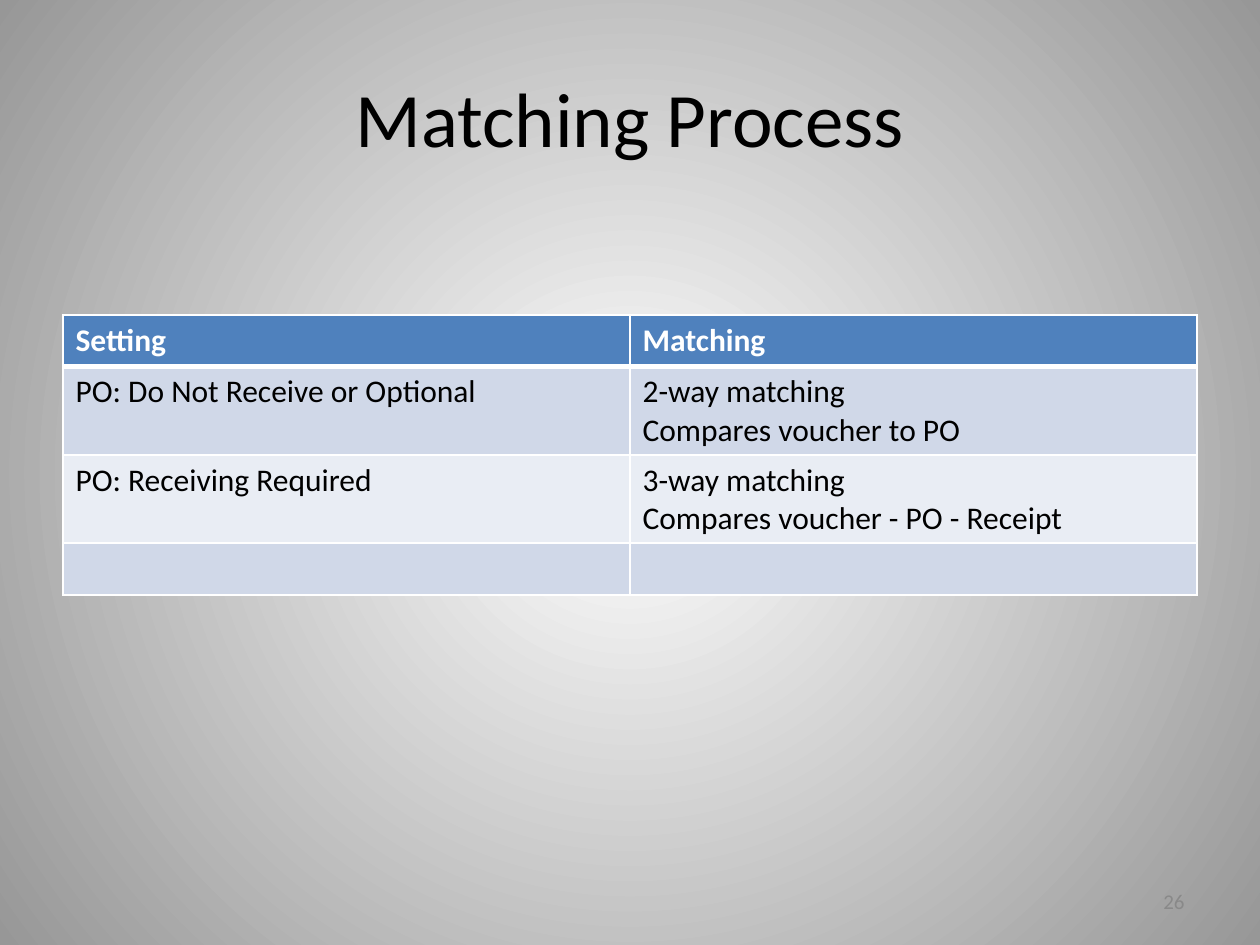
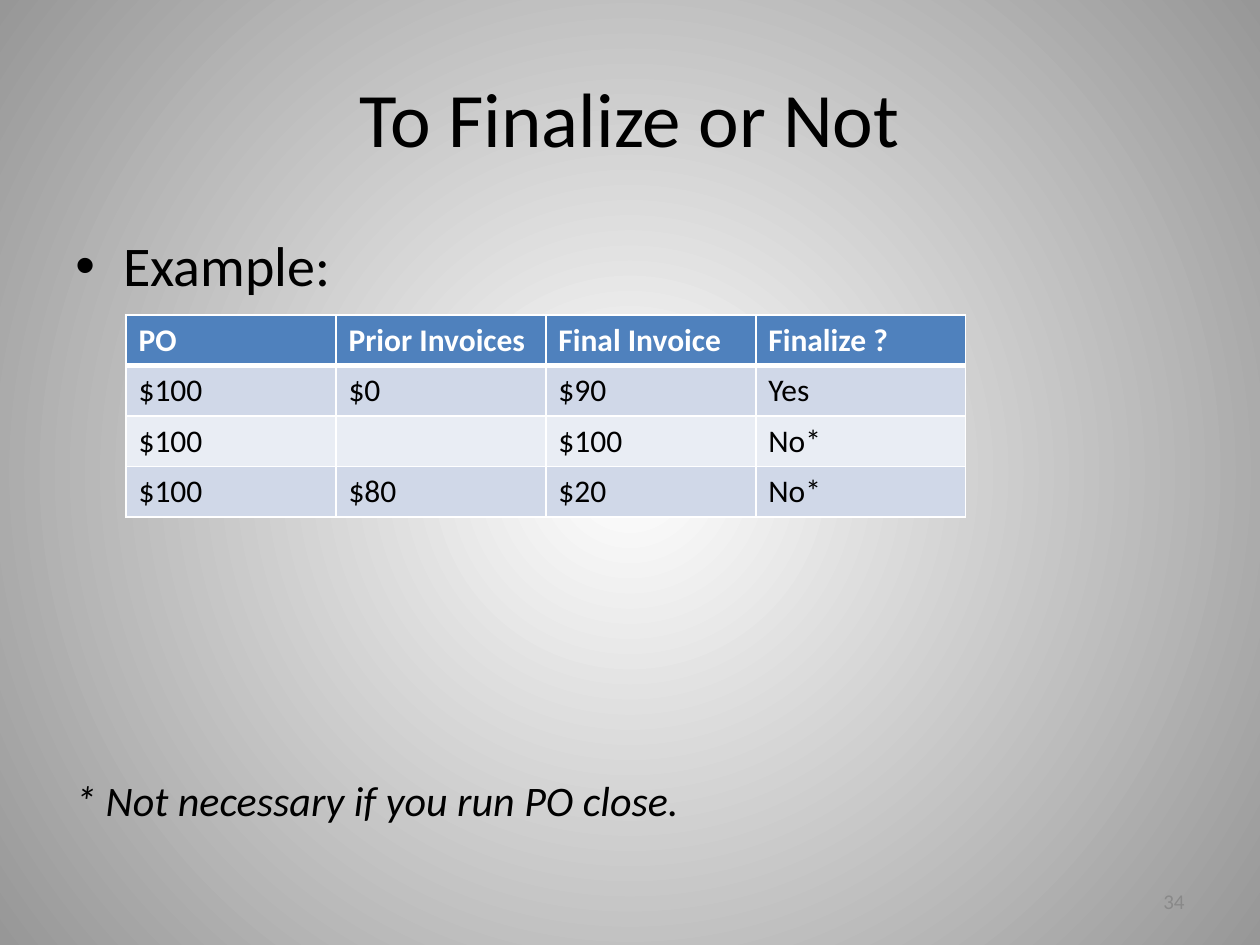
from dataclasses import dataclass

from pptx import Presentation
from pptx.dml.color import RGBColor
from pptx.enum.text import MSO_ANCHOR, PP_ALIGN
from pptx.oxml import parse_xml
from pptx.oxml.ns import nsdecls, qn
from pptx.util import Emu, Inches, Pt

LEFT, CENTER, RIGHT = PP_ALIGN.LEFT, PP_ALIGN.CENTER, PP_ALIGN.RIGHT
TOP, MIDDLE = MSO_ANCHOR.TOP, MSO_ANCHOR.MIDDLE

WIDTH, HEIGHT = Inches(10), Inches(7.5)
COLUMN, ROW = WIDTH / 20, HEIGHT / 15
FONT = "Calibri"
COLORS = {
    "text": "000000",
    "number": "898989",
    "white": "FFFFFF",
    "edge": "979797",
    "header": "4F81BD",
    "odd": "D0D8E8",
    "even": "E9EDF4",
}


@dataclass
class Area:
    """A place on the page, in grid columns and rows."""
    column: float
    row: float
    columns: float
    rows: float

    def emu(self) -> tuple:
        return (Emu(round(self.column * COLUMN)), Emu(round(self.row * ROW)),
                Emu(round(self.columns * COLUMN)), Emu(round(self.rows * ROW)))


@dataclass
class Grid:
    area: Area
    records: list


@dataclass
class Note:
    text: str
    area: Area
    size: float
    italic: bool = False
    bullet: bool = False


@dataclass
class Page:
    title: str
    number: int
    grid: Grid
    notes: tuple = ()


TITLE_AREA = Area(1, 0.6, 18, 2.5)
NUMBER_AREA = Area(14.33, 13.9, 4.67, 0.8)

PAGES = [
    Page("Matching Process", 26, Grid(Area(1, 5, 18, 3.28), [
        ["Setting", "Matching"],
        ["PO: Do Not Receive or Optional", "2-way matching\nCompares voucher to PO"],
        ["PO: Receiving Required", "3-way matching\nCompares voucher - PO - Receipt"],
        ["", ""],
    ])),
    Page("To Finalize or Not", 34, Grid(Area(2, 5, 13.33, 3.2), [
        ["PO", "Prior Invoices", "Final Invoice", "Finalize ?"],
        ["$100", "$0", "$90", "Yes"],
        ["$100", "", "$100", "No*"],
        ["$100", "$80", "$20", "No*"],
    ]), (
        Note("Example:", Area(1, 3.6, 18, 1.2), 32, bullet=True),
        Note("* Not necessary if you run PO close.", Area(1, 12.2, 18, 1), 24, italic=True),
    )),
]


def write(frame, text: str, *, size: float = 18, color: str = "text", bold: bool = False,
          italic: bool = False, align=LEFT, anchor=TOP, bullet: bool = False) -> None:
    """Fill a text frame, one paragraph for each line of text."""
    frame.word_wrap = True
    frame.vertical_anchor = anchor
    for index, line in enumerate(text.split("\n")):
        para = frame.add_paragraph() if index else frame.paragraphs[0]
        para.alignment = align
        if bullet:
            add_bullet(para)
        para.font.size = Pt(size)
        if line:
            span = para.add_run()
            span.text = line
            span.font.name = FONT
            span.font.size = Pt(size)
            span.font.bold = bold
            span.font.italic = italic
            span.font.color.rgb = RGBColor.from_string(COLORS[color])


def add_bullet(para) -> None:
    properties = para._p.get_or_add_pPr()
    indent = Inches(0.38)
    properties.set("marL", str(indent))
    properties.set("indent", str(-indent))
    properties.append(parse_xml(f'<a:buFont {nsdecls("a")} typeface="Arial"/>'))
    properties.append(parse_xml(f'<a:buChar {nsdecls("a")} char="•"/>'))


def add_text(page, area: Area, text: str, **style) -> None:
    box = page.shapes.add_textbox(*area.emu())
    write(box.text_frame, text, **style)


def add_borders(cell, top: float, bottom: float) -> None:
    properties = cell._tc.get_or_add_tcPr()
    for side, points in (("L", 1), ("R", 1), ("T", top), ("B", bottom)):
        properties.append(parse_xml(
            f'<a:ln{side} {nsdecls("a")} w="{Pt(points)}"><a:solidFill>'
            f'<a:srgbClr val="{COLORS["white"]}"/></a:solidFill></a:ln{side}>'))


def add_grid(page, grid: Grid) -> None:
    """Draw a table with a header row and alternating body rows."""
    table = page.shapes.add_table(
        len(grid.records), len(grid.records[0]), *grid.area.emu()).table
    table.horz_banding = False
    for index, record in enumerate(grid.records):
        header = index == 0
        fill = "header" if header else "odd" if index % 2 else "even"
        for cell, text in zip(table.rows[index].cells, record):
            add_borders(cell, top=3 if index == 1 else 1, bottom=3 if header else 1)
            cell.fill.solid()
            cell.fill.fore_color.rgb = RGBColor.from_string(COLORS[fill])
            write(cell.text_frame, text, bold=header, color="white" if header else "text")


def set_background(master) -> None:
    """Give every page a gradient that darkens from its centre."""
    master.background.fill.solid()
    properties = master.element.find(".//" + qn("p:bgPr"))
    properties.replace(properties[0], parse_xml(
        f'<a:gradFill {nsdecls("a")} rotWithShape="1"><a:gsLst>'
        f'<a:gs pos="0"><a:srgbClr val="{COLORS["white"]}"/></a:gs>'
        f'<a:gs pos="100000"><a:srgbClr val="{COLORS["edge"]}"/></a:gs></a:gsLst>'
        '<a:path path="circle"><a:fillToRect l="50000" t="50000" r="50000" b="50000"/>'
        '</a:path></a:gradFill>'))


def add_page(deck, content: Page) -> None:
    page = deck.slides.add_slide(deck.slide_layouts[6])
    add_text(page, TITLE_AREA, content.title, size=44, align=CENTER, anchor=MIDDLE)
    for note in content.notes:
        add_text(page, note.area, note.text, size=note.size, italic=note.italic,
                 bullet=note.bullet, anchor=MIDDLE)
    add_grid(page, content.grid)
    add_text(page, NUMBER_AREA, str(content.number), size=12, color="number",
             align=RIGHT, anchor=MIDDLE)


def main() -> None:
    deck = Presentation()
    deck.slide_width, deck.slide_height = WIDTH, HEIGHT
    set_background(deck.slide_master)
    for content in PAGES:
        add_page(deck, content)
    deck.save("out.pptx")


if __name__ == "__main__":
    main()
